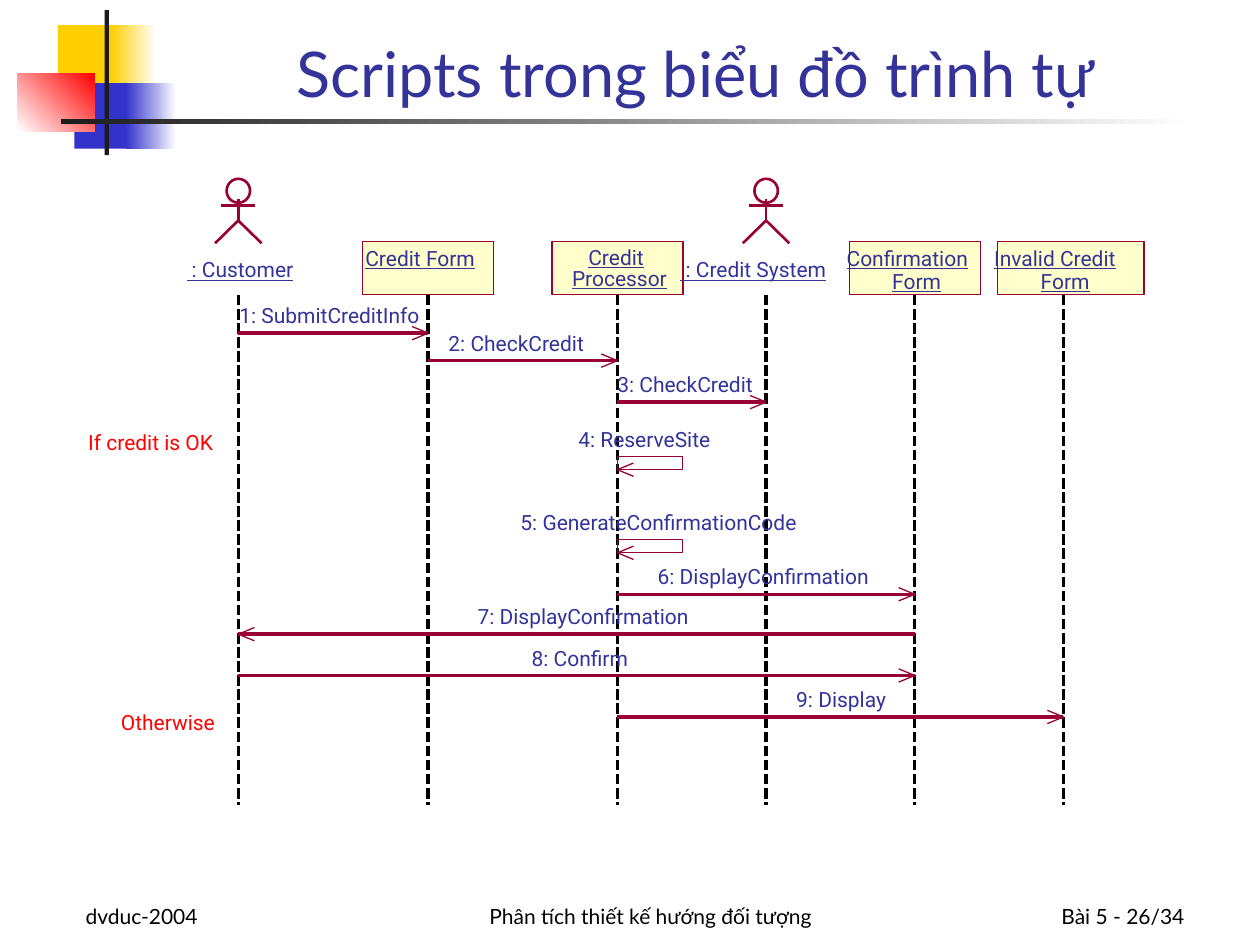
"""Build the credit check sequence diagram slide."""
from dataclasses import dataclass

from lxml import etree
from pptx import Presentation
from pptx.dml.color import RGBColor
from pptx.enum.dml import MSO_LINE
from pptx.enum.shapes import MSO_CONNECTOR, MSO_SHAPE
from pptx.enum.text import MSO_ANCHOR, MSO_AUTO_SIZE, PP_ALIGN
from pptx.oxml.ns import qn
from pptx.util import Pt

RECTANGLE, OVAL = MSO_SHAPE.RECTANGLE, MSO_SHAPE.OVAL
STRAIGHT, DASHED = MSO_CONNECTOR.STRAIGHT, MSO_LINE.SQUARE_DOT
LEFT, CENTER, RIGHT = PP_ALIGN.LEFT, PP_ALIGN.CENTER, PP_ALIGN.RIGHT
BOTTOM, FIT_TEXT = MSO_ANCHOR.BOTTOM, MSO_AUTO_SIZE.SHAPE_TO_FIT_TEXT

BLACK, CHARCOAL, WHITE = "000000", "1C1C1C", "FFFFFF"
YELLOW, BLUE, RED = "FFCF01", "3333CC", "FF0000"
INK, MAROON, CREAM = "333399", "990033", "FFFFCC"
TITLE_FONT, DIAGRAM_FONT = "Lato", "Roboto"
HAIRLINE, HEAD_LINE, FIGURE_LINE = 0, 0.75, 1.5
BOX_TOP, BOX_HEIGHT = 138.2, 30.2
LIFELINE_TOP, LIFELINE_BOTTOM = 168.5, 460
LABEL_HEIGHT, LABEL_RISE = 14.4, 17.3
HEAD_LENGTH, HEAD_SPREAD = 9.2, 3.8
LOOP_WIDTH, LOOP_HEIGHT = 37.4, 7.6


@dataclass(frozen=True)
class Block:
    left: float
    top: float
    width: float
    height: float
    start: str
    end: str = ""
    angle: float = 0


@dataclass(frozen=True)
class Label:
    text: str
    left: float
    top: float
    width: float


@dataclass(frozen=True)
class Participant:
    axis: float
    labels: tuple[Label, ...]
    box_left: float = 0
    box_width: float = 0


@dataclass(frozen=True)
class Message:
    text: str
    source: float
    target: float
    y: float
    label_left: float
    label_width: float


@dataclass(frozen=True)
class Caption:
    text: str
    left: float
    top: float
    width: float
    height: float
    align: PP_ALIGN
    size: float = 12
    color: str = BLACK


CUSTOMER, FORM, PROCESSOR = 136.2, 244.7, 352.8
SYSTEM, CONFIRMATION, INVALID = 437.8, 522.7, 607.7

BLOCKS = (
    Block(33.1, 14.4, 34.6, 37.4, YELLOW),
    Block(63.4, 14.4, 25.9, 37.4, YELLOW, WHITE),
    Block(42.5, 47.5, 33.1, 37.4, BLUE),
    Block(72, 47.5, 28.8, 37.4, BLUE, WHITE),
    Block(10.1, 41.8, 43.9, 33.1, WHITE, RED, 45),
    Block(59.8, 5.8, 2.4, 82.8, CHARCOAL),
    Block(34.6, 68.2, 648, 2.4, CHARCOAL, WHITE),
)
CAPTIONS = (
    Caption("dvduc-2004", 41.8, 498.2, 149.8, 36, LEFT),
    Caption("Phân tích thiết kế hướng đối tượng", 234, 498.2, 275.8, 36, CENTER),
    Caption("Bài 5 - 26/34", 534.2, 498.2, 149.8, 36, RIGHT),
    Caption("Scripts trong biểu đồ trình tự", 90.7, 5.8, 613.4, 60.5, CENTER, 36, INK),
)
PARTICIPANTS = (
    Participant(CUSTOMER, (Label(" : Customer", 106.6, 146.9, 64.8),)),
    Participant(FORM, (Label("Credit Form", 208.8, 140.4, 67),), 207.2, 74.9),
    Participant(PROCESSOR, (Label("Credit", 336.2, 139.7, 37.4),
                            Label("Processor", 326.9, 151.9, 55.4)), 315.4, 74.9),
    Participant(SYSTEM, (Label(" : Credit System", 388.8, 146.9, 87.8),)),
    Participant(CONFIRMATION, (Label("Confirmation", 483.8, 140.4, 77.8),
                               Label("Form", 509.8, 153.4, 29.5)), 485.3, 74.9),
    Participant(INVALID, (Label("Invalid Credit", 568.1, 140.4, 78.5),
                          Label("Form", 594.7, 153.4, 29.5)), 570.2, 83.5),
)
MESSAGES = (
    Message("1: SubmitCreditInfo", CUSTOMER, FORM, 190.4, 136.8, 110.2),
    Message("2: CheckCredit", FORM, PROCESSOR, 206.1, 256.3, 81.4),
    Message("3: CheckCredit", PROCESSOR, SYSTEM, 229.8, 352.8, 81.4),
    Message("4: ReserveSite", PROCESSOR, PROCESSOR, 260.8, 330.5, 78.5),
    Message("5: GenerateConfirmationCode", PROCESSOR, PROCESSOR, 308.3, 297.4, 169.2),
    Message("6: DisplayConfirmation", PROCESSOR, CONFIRMATION, 339.6, 375.8, 128.9),
    Message("7: DisplayConfirmation", CONFIRMATION, CUSTOMER, 362.4, 272.9, 128.9),
    Message("8: Confirm", CUSTOMER, CONFIRMATION, 386, 303.8, 59),
    Message("9: Display", PROCESSOR, INVALID, 409.7, 455, 54),
)
CONDITIONS = (
    Label("If credit is OK", 50.4, 245.5, 75.6),
    Label("Otherwise", 69.1, 405.4, 57.6),
)


def paint(target, color: str) -> None:
    """Give a fill, line or font a solid hex colour."""
    if hasattr(target, "solid"):
        target.solid()
        target.fore_color.rgb = RGBColor.from_string(color)
    else:
        target.color.rgb = RGBColor.from_string(color)


def add_preset(slide, preset, left: float, top: float, width: float, height: float):
    """Add a preset shape without shadow, fill or line."""
    preset_shape = slide.shapes.add_shape(preset, Pt(left), Pt(top), Pt(width), Pt(height))
    preset_shape.shadow.inherit = False
    preset_shape.fill.background()
    preset_shape.line.fill.background()
    return preset_shape


def outline(drawn, width: float) -> None:
    """Stroke an outline in the diagram colour."""
    paint(drawn.line, MAROON)
    drawn.line.width = Pt(width)


def add_block(slide, block: Block) -> None:
    """Draw one solid or gradient part of the slide decoration."""
    fill = add_preset(slide, RECTANGLE, block.left, block.top, block.width, block.height).fill
    if not block.end:
        paint(fill, block.start)
        return
    fill.gradient()
    fill.gradient_angle = block.angle
    for stop, color, position in zip(fill.gradient_stops, (block.start, block.end), (0, 1)):
        paint(stop, color)
        stop.position = position


def add_stroke(slide, x1: float, y1: float, x2: float, y2: float,
               width: float = HAIRLINE, color: str = MAROON, dash=None) -> None:
    """Draw a straight line without shadow."""
    stroke = slide.shapes.add_connector(STRAIGHT, Pt(x1), Pt(y1), Pt(x2), Pt(y2))
    paint(stroke.line, color)
    stroke.line.width = Pt(width)
    if dash:
        stroke.line.dash_style = dash
    etree.SubElement(stroke.element.spPr, qn("a:effectLst"))


def style_text(frame, text: str, font_name: str, size: float, color: str):
    """Fill a text frame and return its paragraph and font."""
    frame.text = text
    paragraph = frame.paragraphs[0]
    font = paragraph.runs[0].font
    font.name, font.size = font_name, Pt(size)
    paint(font, color)
    return paragraph, font


def add_caption(slide, caption: Caption) -> None:
    """Add the title or a footer, set on the bottom of its area."""
    frame = slide.shapes.add_textbox(Pt(caption.left), Pt(caption.top), Pt(caption.width),
                                     Pt(caption.height)).text_frame
    frame.word_wrap = True
    frame.vertical_anchor = BOTTOM
    paragraph, _ = style_text(frame, caption.text, TITLE_FONT, caption.size, caption.color)
    paragraph.alignment = caption.align


def add_label(slide, label: Label, color: str = INK, underline: bool = False) -> None:
    """Add an unwrapped diagram label without margins."""
    frame = slide.shapes.add_textbox(Pt(label.left), Pt(label.top), Pt(label.width),
                                     Pt(LABEL_HEIGHT)).text_frame
    frame.margin_left = frame.margin_right = frame.margin_top = frame.margin_bottom = 0
    frame.word_wrap = False
    frame.auto_size = FIT_TEXT
    _, font = style_text(frame, label.text, DIAGRAM_FONT, 12, color)
    if underline:
        font.underline = True


def add_actor(slide, axis: float) -> None:
    """Draw a stick figure centred on a lifeline."""
    outline(add_preset(slide, OVAL, axis - 6.7, 102.2, 13.4, 13.7), FIGURE_LINE)
    add_stroke(slide, axis, 113.8, axis, 126, FIGURE_LINE)
    add_stroke(slide, axis - 9.7, 117.4, axis + 9.7, 117.4, FIGURE_LINE)
    builder = slide.shapes.build_freeform(Pt(axis - 13.3), Pt(139))
    builder.add_line_segments([(Pt(axis), Pt(126)), (Pt(axis + 13.3), Pt(139))], close=False)
    legs = builder.convert_to_shape()
    legs.shadow.inherit = False
    legs.fill.background()
    outline(legs, FIGURE_LINE)


def add_participant(slide, participant: Participant) -> None:
    """Draw a participant's head, name and lifeline."""
    if participant.box_width:
        box = add_preset(slide, RECTANGLE, participant.box_left, BOX_TOP,
                         participant.box_width, BOX_HEIGHT)
        paint(box.fill, CREAM)
        outline(box, HAIRLINE)
    else:
        add_actor(slide, participant.axis)
    for label in participant.labels:
        add_label(slide, label, underline=True)
    add_stroke(slide, participant.axis, LIFELINE_TOP, participant.axis, LIFELINE_BOTTOM,
               color=BLACK, dash=DASHED)


def add_message(slide, message: Message) -> None:
    """Draw a message arrow, or a loop when it returns to its sender."""
    tip_y = message.y
    if message.source == message.target:
        outline(add_preset(slide, RECTANGLE, message.source, message.y,
                           LOOP_WIDTH, LOOP_HEIGHT), HAIRLINE)
        tip_y += LOOP_HEIGHT
    else:
        add_stroke(slide, message.source, tip_y, message.target, tip_y)
    back = -HEAD_LENGTH if message.target > message.source else HEAD_LENGTH
    for spread in (HEAD_SPREAD, -HEAD_SPREAD):
        add_stroke(slide, message.target, tip_y, message.target + back, tip_y + spread, HEAD_LINE)
    add_label(slide, Label(message.text, message.label_left, message.y - LABEL_RISE,
                           message.label_width))


def main() -> None:
    """Build and save the slide."""
    deck = Presentation()
    deck.slide_width, deck.slide_height = Pt(720), Pt(540)
    slide = deck.slides.add_slide(deck.slide_layouts[6])
    for block in BLOCKS:
        add_block(slide, block)
    for caption in CAPTIONS:
        add_caption(slide, caption)
    for participant in PARTICIPANTS:
        add_participant(slide, participant)
    for message in MESSAGES:
        add_message(slide, message)
    for condition in CONDITIONS:
        add_label(slide, condition, RED)
    deck.save("out.pptx")


if __name__ == "__main__":
    main()
